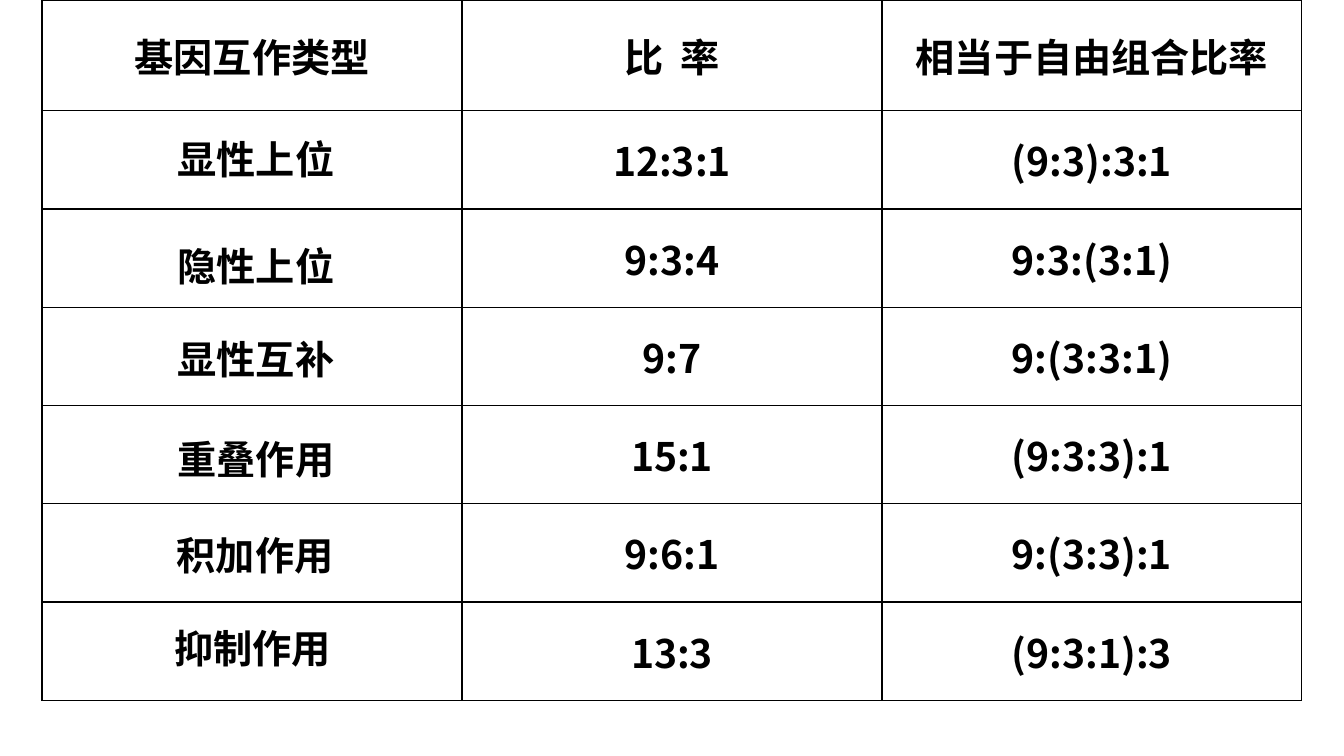
import pptx
import pptx.dml.color
import pptx.enum.text
import pptx.oxml
import pptx.oxml.ns
import pptx.util
from lxml import etree

Cm = pptx.util.Cm
BLACK = pptx.dml.color.RGBColor(0, 0, 0)
FONT = "Noto Sans CJK SC"
HEADINGS = ["基因互作类型", "比 率", "相当于自由组合比率"]
INTERACTIONS = [
    ("显性上位", "12:3:1", "(9:3):3:1", 4.19, 3.28),
    ("隐性上位", "9:3:4", "9:3:(3:1)", 4.19, 5.97),
    ("显性互补", "9:7", "9:(3:3:1)", 4.19, 8.33),
    ("重叠作用", "15:1", "(9:3:3):1", 4.19, 10.85),
    ("积加作用", "9:6:1", "9:(3:3):1", 4.17, 13.26),
    ("抑制作用", "13:3", "(9:3:1):3", 4.11, 15.6),
]


def write(frame, text, size=28, bold=True, color=BLACK, spacing=0):
    """Put one centred, formatted line of text in a text frame."""
    line = frame.paragraphs[0]
    line.alignment = pptx.enum.text.PP_ALIGN.CENTER
    run = line.add_run()
    run.text = text
    run.font.size = pptx.util.Pt(size)
    run.font.bold = bold
    run.font.color.rgb = color
    run.font.name = FONT
    properties = run._r.get_or_add_rPr()
    east_asian = etree.SubElement(properties, pptx.oxml.ns.qn("a:ea"))
    east_asian.set("typeface", FONT)
    if spacing:
        properties.set("spc", str(spacing * 100))


def outline(cell, width=1, color=BLACK):
    """Draw the four borders of a table cell and leave it unfilled."""
    properties = cell._tc.get_or_add_tcPr()
    for side in ("lnL", "lnR", "lnT", "lnB"):
        properties.append(pptx.oxml.parse_xml(
            f'<a:{side} {pptx.oxml.ns.nsdecls("a")} w="{pptx.util.Pt(width)}">'
            f'<a:solidFill><a:srgbClr val="{color}"/></a:solidFill></a:{side}>'))
    cell.fill.background()


def add_ratio_table(slide, left, top, width, height, heading_height):
    """Add the grid of headings and ratios in the given box."""
    rows = [HEADINGS] + [("", ratio, equivalent)
                         for _, ratio, equivalent, _, _ in INTERACTIONS]
    ratios = slide.shapes.add_table(
        len(rows), len(HEADINGS), left, top, width, height).table
    ratios.first_row = ratios.horz_banding = False
    for column in ratios.columns:
        column.width = int(width / len(HEADINGS))
    for index, row in enumerate(ratios.rows):
        row.height = (int((height - heading_height) / len(INTERACTIONS))
                      if index else heading_height)
        for text, cell in zip(rows[index], row.cells):
            cell.vertical_anchor = pptx.enum.text.MSO_ANCHOR.MIDDLE
            cell.margin_left = cell.margin_right = Cm(0.33)
            cell.margin_top = cell.margin_bottom = Cm(0.13)
            if text:
                write(cell.text_frame, text, spacing=3 if " " in text else 0)
            outline(cell)


def add_interaction_name(slide, name, left, top, width, height):
    """Add the name of one gene interaction in the given box."""
    label = slide.shapes.add_textbox(left, top, width, height).text_frame
    label.word_wrap = False
    label.auto_size = pptx.enum.text.MSO_AUTO_SIZE.SHAPE_TO_FIT_TEXT
    write(label, name)


def main():
    """Build the slide of gene interaction ratios."""
    deck = pptx.Presentation()
    deck.slide_width, deck.slide_height = Cm(33.87), Cm(19.05)
    slide = deck.slides.add_slide(deck.slide_layouts[6])
    add_ratio_table(slide, Cm(1.06), Cm(0), Cm(31.75), Cm(17.65), Cm(2.79))
    for name, _, _, left, top in INTERACTIONS:
        add_interaction_name(slide, name, Cm(left), Cm(top), Cm(4.52), Cm(1.45))
    deck.save("out.pptx")


if __name__ == "__main__":
    main()
